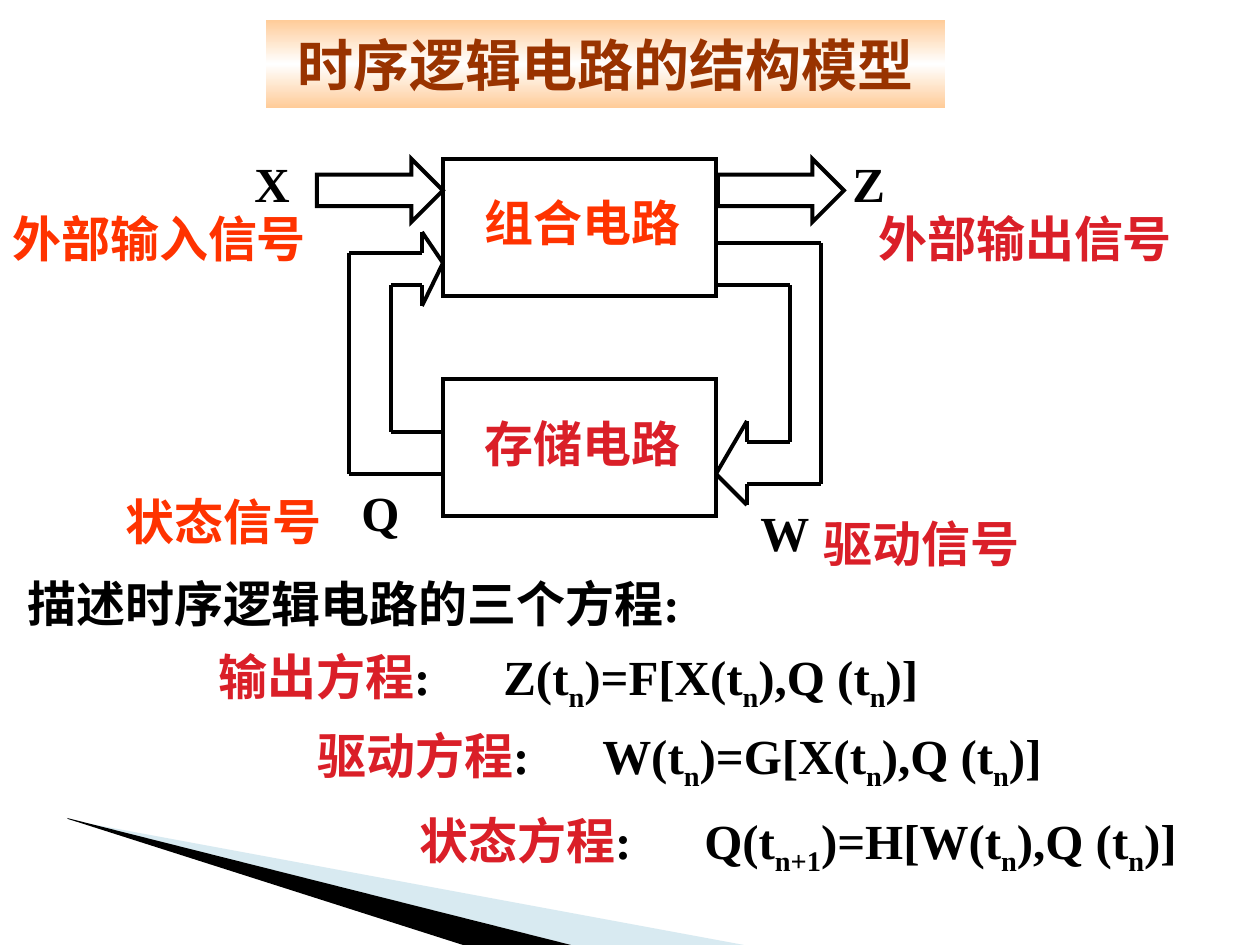
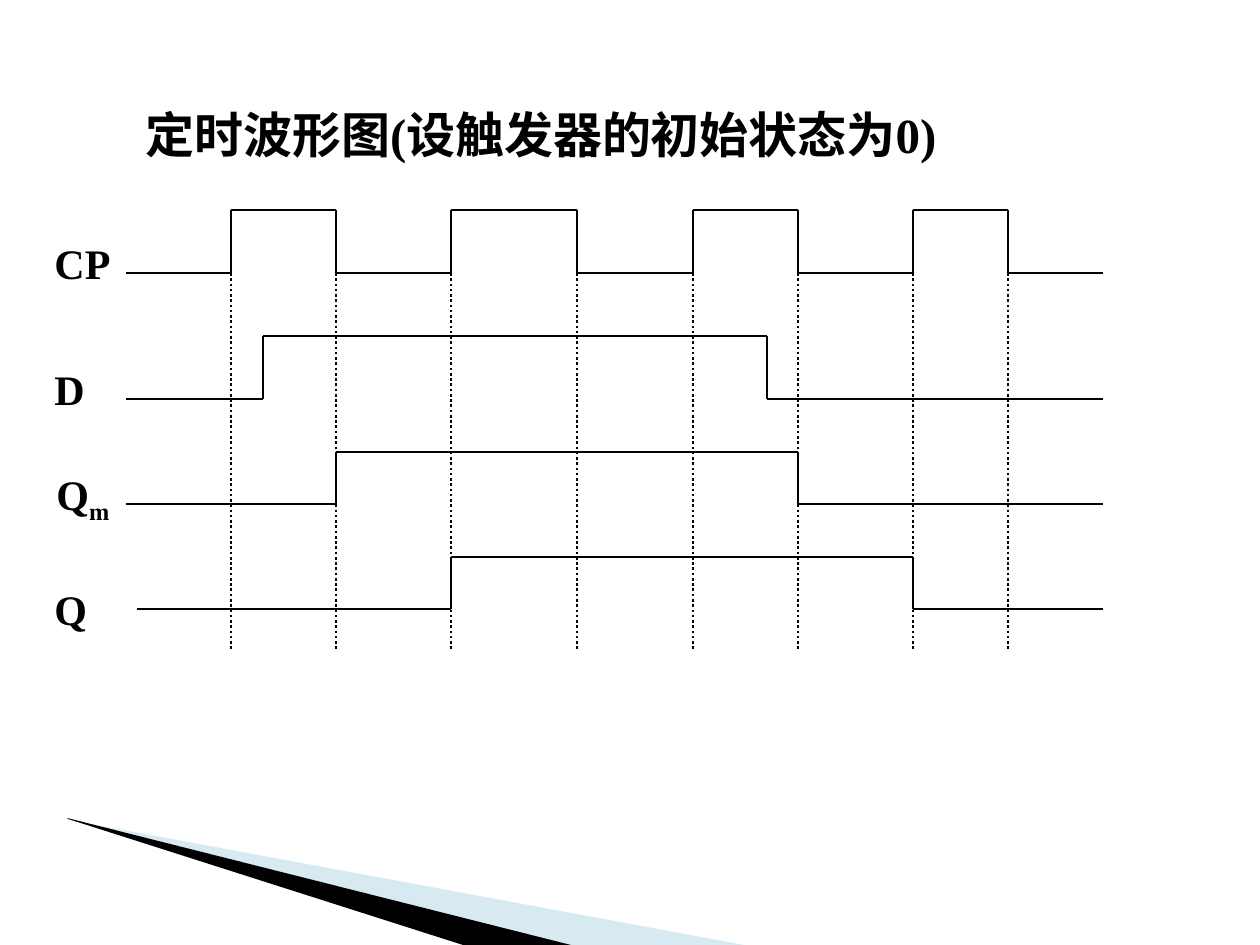
from copy import deepcopy
from lxml import etree
from pptx import Presentation
from pptx import util as u
from pptx.dml.color import RGBColor
from pptx.enum import dml, shapes, text
from pptx.oxml.ns import qn

PX = 914400 / 126
INK = {"black": "000000", "red": "DA1F28", "orange": "FF3300",
       "brown": "993300", "peach": "FFCC99", "white": "FFFFFF",
       "ice": "9FCBDC"}
SERIF, SANS = "Times New Roman", "Noto Sans CJK SC"


def px(n):
    return u.Emu(round(n * PX))


def ink(name):
    return RGBColor.from_string(INK[name])


def write(frame, runs, size=28, font=SERIF):
    """Each run is (words, colour) or (words, colour, True) for a subscript."""
    para = frame.paragraphs[0]
    for words, hue, *sub in runs:
        run = para.add_run()
        run.text = words
        run.font.size, run.font.bold = u.Pt(size), True
        run.font.color.rgb = ink(hue)
        run.font.name = font
        props = run.font._element
        etree.SubElement(props, qn("a:ea")).set("typeface", SANS)
        if sub:
            props.set("baseline", "-25000")
    return para


def label(slide, x, y, w, runs, size=28):
    box = slide.shapes.add_textbox(px(x), px(y), px(w), px(size * 2 + 16))
    box.text_frame.word_wrap = True
    return write(box.text_frame, runs, size)


def trace(slide, x, y, points, width, dash=None):
    """Join the points, given relative to x, y, by straight lines."""
    for (x1, y1), (x2, y2) in zip(points, points[1:]):
        line = slide.shapes.add_connector(
            shapes.MSO_CONNECTOR.STRAIGHT,
            px(x + x1), px(y + y1), px(x + x2), px(y + y2))
        line.line.color.rgb = ink("black")
        line.line.width = u.Pt(width)
        if dash:
            line.line.dash_style = dash
        etree.SubElement(line._element.spPr, qn("a:effectLst"))


def block(slide, kind, x, y, w, h):
    shape = slide.shapes.add_shape(kind, px(x), px(y), px(w), px(h))
    shape.shadow.inherit = False
    shape.fill.background()
    shape.line.color.rgb = ink("black")
    shape.line.width = u.Pt(2.25)
    edge = shape._element.spPr.find(qn("a:ln"))
    etree.SubElement(edge, qn("a:miter")).set("lim", "800000")
    return shape


def wedge(slide):
    """Corner decoration shared by the slides."""
    parts = [("ice", [(69, 820), (744, 945), (571, 945), (69, 819)]),
             ("black", [(67, 818), (571, 945), (463, 945), (68, 819)])]
    for hue, points in parts:
        form = slide.shapes.build_freeform(*points[0], scale=PX)
        form.add_line_segments(points[1:], close=True)
        shape = form.convert_to_shape()
        shape.shadow.inherit = False
        shape.line.fill.background()
        shape.fill.solid()
        shape.fill.fore_color.rgb = ink(hue)
        if hue == "ice":
            tone = shape._element.spPr.find(".//" + qn("a:srgbClr"))
            etree.SubElement(tone, qn("a:alpha")).set("val", "40000")


def banner(slide, x, y, w, h, words):
    bar = block(slide, shapes.MSO_SHAPE.RECTANGLE, x, y, w, h)
    bar.line.fill.background()
    bar.fill.gradient()
    bar.fill.gradient_angle = 90
    stops = bar._element.spPr.find(".//" + qn("a:gsLst"))
    stops.insert(1, deepcopy(stops[0]))
    for i, stop in enumerate(bar.fill.gradient_stops):
        stop.position = i / 2
        stop.color.rgb = ink("white" if i == 1 else "peach")
    bar.text_frame.vertical_anchor = text.MSO_ANCHOR.MIDDLE
    para = write(bar.text_frame, [(words, "brown")], 32, SANS)
    para.alignment = text.PP_ALIGN.CENTER


def model(slide, x, y):
    """Two circuit blocks with input, output and feedback arrows."""
    for top in (1, 221):
        block(slide, shapes.MSO_SHAPE.RECTANGLE, x + 126, y + top, 273, 137)
    for left in (0, 401):
        block(slide, shapes.MSO_SHAPE.RIGHT_ARROW, x + left, y + 1, 126, 63)

    # Feedback arrows: drive on the right, state on the left
    drive = [(399, 85), (504, 85), (504, 326), (430, 326), (430, 347),
             (399, 316), (430, 263), (430, 284), (473, 284), (473, 127),
             (399, 127)]
    state = [(126, 274), (74, 274), (74, 127), (105, 127), (105, 148),
             (126, 105), (105, 74), (105, 95), (32, 95), (32, 316),
             (126, 316)]
    for points in (drive, state):
        trace(slide, x, y, points, 2.25)

    # Names of signals and blocks
    names = [("X", -75, -11, 75, "black"), ("Z", 523, -11, 75, "black"),
             ("Q", 32, 318, 75, "black"), ("W", 431, 338, 90, "black"),
             ("组合电路", 155, 28, 240, "orange"),
             ("存储电路", 155, 249, 240, "red"),
             ("外部输入信号", -317, 44, 343, "orange"),
             ("外部输出信号", 549, 44, 343, "red"),
             ("驱动信号", 494, 349, 240, "red"),
             ("状态信号", -204, 327, 240, "orange")]
    for words, left, top, w, hue in names:
        label(slide, x + left, y + top, w, [(words, hue)])


def laws(slide, x, y):
    """Heading and the three equations, stepped to the right."""
    label(slide, x, y, 852, [("描述时序逻辑电路的三个方程:", "black")])
    rows = [(191, 73, "输出方程", "Z", "n", "F[X"),
            (290, 152, "驱动方程", "W", "n", "G[X"),
            (392, 237, "状态方程", "Q", "n+1", "H[W")]
    for left, top, name, out, step, call in rows:
        runs = [(name, "red"), (f":\t{out}(t", "black"),
                (step, "black", True), (f")={call}(t", "black"),
                ("n", "black", True), ("),Q (t", "black"),
                ("n", "black", True), (")]", "black")]
        para = label(slide, x + left, y + top, 820, runs)
        tabs = etree.SubElement(para._p.get_or_add_pPr(), qn("a:tabLst"))
        etree.SubElement(tabs, qn("a:tab"), pos=str(px(285)), algn="l")


def waves(slide, x, y):
    """Timing chart: four signals over dotted clock edges."""
    clock = [105, 210, 325, 451, 567, 672, 787, 882]
    end, floor = 977, 441
    rows = [([("CP", "black")], -84, 0, 63, 63, clock),
            ([("D", "black")], -84, 0, 189, 63, [137, 641]),
            ([("Q", "black"), ("m", "black", True)], -82, 0, 294, 52,
             [clock[1], clock[5]]),
            ([("Q", "black")], -84, 11, 399, 52, [clock[2], clock[6]])]
    for edge in clock:
        trace(slide, x, y, [(edge, 63), (edge, floor)], 1.5,
              dml.MSO_LINE.ROUND_DOT)
    for runs, left, start, low, rise, edges in rows:
        points, level = [(start, low)], low
        for edge in edges:
            points.append((edge, level))
            level = low - rise if level == low else low
            points.append((edge, level))
        trace(slide, x, y, points + [(end, low)], 1.5)
        label(slide, x + left, y + low - 42 + (10 if start else 0), 110,
              runs, 24)


def main():
    deck = Presentation()
    deck.slide_width, deck.slide_height = px(1260), px(945)
    first, second = (deck.slides.add_slide(deck.slide_layouts[6])
                     for _ in range(2))
    for slide in (first, second):
        wedge(slide)

    # Structure model
    model(first, 317, 158)
    laws(first, 15, 567)
    banner(first, 266, 20, 679, 88, "时序逻辑电路的结构模型")

    # Timing waveforms
    label(second, 133, 98, 900, [("定时波形图(设触发器的初始状态为0)", "black")])
    waves(second, 126, 210)
    deck.save("out.pptx")


if __name__ == "__main__":
    main()
